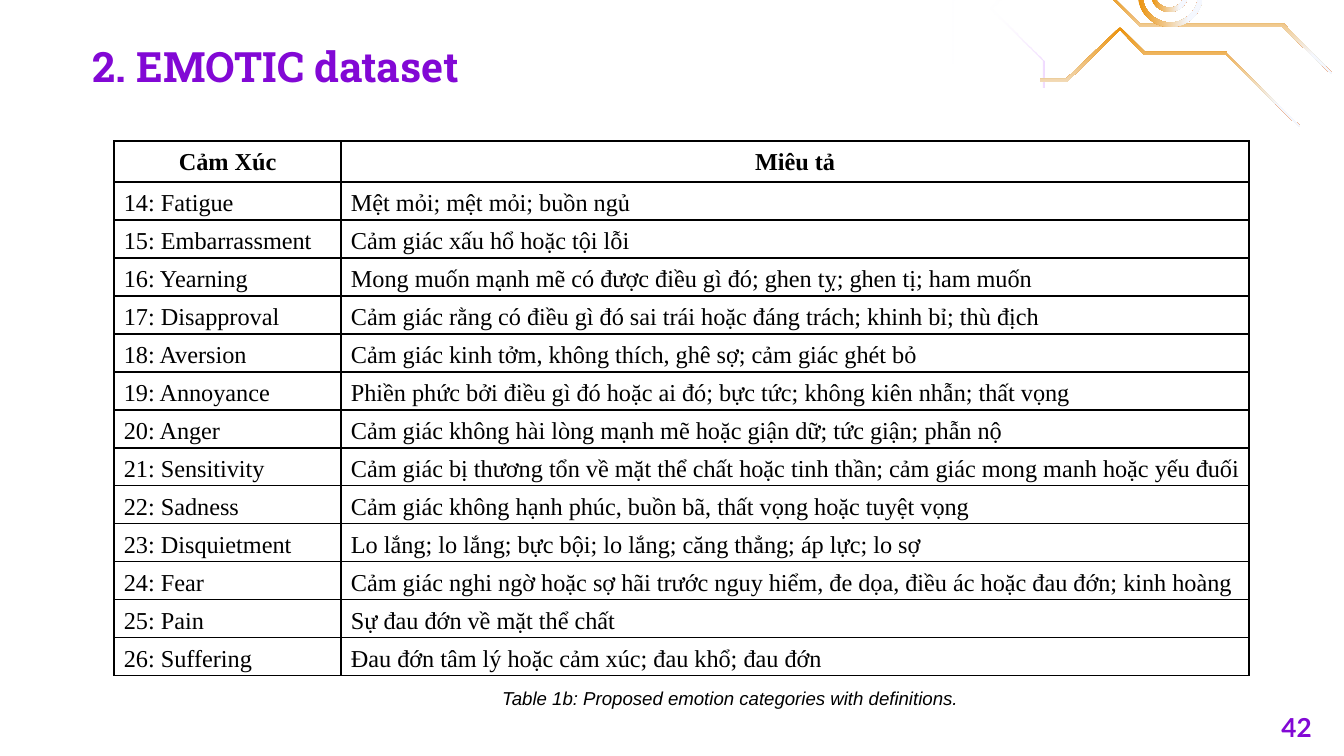
"""Build the EMOTIC dataset slide with its emotion definition table."""
from lxml import etree
from pptx import Presentation
from pptx import util as u
from pptx.dml.color import RGBColor
from pptx.enum import shapes, text
from pptx.oxml import parse_xml
from pptx.oxml.ns import nsdecls, qn

TITLE = "2. EMOTIC dataset"
CAPTION = "Table 1b: Proposed emotion categories with definitions."
SLIDE_NUMBER = "42"
HEADER = ("Cảm Xúc", "Miêu tả")
EMOTIONS = [
    ("14: Fatigue", "Mệt mỏi; mệt mỏi; buồn ngủ"),
    ("15: Embarrassment", "Cảm giác xấu hổ hoặc tội lỗi"),
    ("16: Yearning", "Mong muốn mạnh mẽ có được điều gì đó; ghen tỵ; ghen tị; ham muốn"),
    ("17: Disapproval", "Cảm giác rằng có điều gì đó sai trái hoặc đáng trách; khinh bỉ; thù địch"),
    ("18: Aversion", "Cảm giác kinh tởm, không thích, ghê sợ; cảm giác ghét bỏ"),
    ("19: Annoyance", "Phiền phức bởi điều gì đó hoặc ai đó; bực tức; không kiên nhẫn; thất vọng"),
    ("20: Anger", "Cảm giác không hài lòng mạnh mẽ hoặc giận dữ; tức giận; phẫn nộ"),
    ("21: Sensitivity", "Cảm giác bị thương tổn về mặt thể chất hoặc tinh thần; cảm giác mong manh hoặc yếu đuối"),
    ("22: Sadness", "Cảm giác không hạnh phúc, buồn bã, thất vọng hoặc tuyệt vọng"),
    ("23: Disquietment", "Lo lắng; lo lắng; bực bội; lo lắng; căng thẳng; áp lực; lo sợ"),
    ("24: Fear", "Cảm giác nghi ngờ hoặc sợ hãi trước nguy hiểm, đe dọa, điều ác hoặc đau đớn; kinh hoàng"),
    ("25: Pain", "Sự đau đớn về mặt thể chất"),
    ("26: Suffering", "Đau đớn tâm lý hoặc cảm xúc; đau khổ; đau đớn"),
]
COLORS = {"title": "8208D5", "ink": "000000", "violet": "9900FF",
          "white": "FFFFFF", "orange": "EB9109", "pale": "F5F8FF"}
GRADIENTS = {
    "violet": [(0, "violet", 47), (100, "white", 0)],
    "orange": [(0, "orange", 100), (78, "pale", 100), (100, "pale", 100)],
}
CIRCUITS = [
    ("violet", 180, [(1035, -227), (988, -179), (986, -179), (986, -35), (952, 0), (952, 63),
                     (954, 63), (954, 0), (989, -35), (989, -177), (1036, -226)]),
    ("violet", 180, [(1089, -173), (1016, -99), (1015, -99), (1015, -19), (989, 8), (1042, 60), (1042, 87),
                     (1044, 87), (1044, 60), (992, 8), (1017, -17), (1017, -99), (1090, -172)]),
    ("orange", 90, [(1332, 73), (1284, 24), (1140, 24), (1105, -11), (1042, -11),
                    (1042, -8), (1105, -8), (1140, 27), (1282, 27), (1331, 74)]),
    ("orange", 90, [(1300, 126), (1227, 54), (1227, 52), (1145, 52), (1120, 27), (1066, 79), (1040, 79),
                    (1040, 82), (1067, 82), (1120, 30), (1144, 55), (1226, 55), (1299, 127)]),
]
RINGS = [((1138, -38, 65, 65), 0.07), ((1151, -23, 37, 35), 0.12)]
COLUMN_WIDTHS = (227, 908)
HEADER_HEIGHT, ROW_HEIGHT = 41, 38
SCALE = 914400 / 134.4


def px(length):
    return u.Emu(round(length * SCALE))


def style(paragraph, font_name, size, color, bold=False, italic=False, align=text.PP_ALIGN.LEFT):
    paragraph.alignment = align
    font = paragraph.font
    font.name, font.size, font.bold, font.italic = font_name, u.Pt(size), bold, italic
    font.color.rgb = RGBColor.from_string(COLORS[color])


def fill_gradient(shape, name, angle):
    stops = "".join(
        f'<a:gs pos="{position * 1000}"><a:srgbClr val="{COLORS[color]}">'
        f'<a:alpha val="{opacity * 1000}"/></a:srgbClr></a:gs>'
        for position, color, opacity in GRADIENTS[name])
    gradient = parse_xml(f'<a:gradFill {nsdecls("a")} rotWithShape="1"><a:gsLst>{stops}</a:gsLst>'
                         f'<a:lin ang="{angle * 60000}" scaled="0"/></a:gradFill>')
    shape.shadow.inherit = False
    shape.line.fill.background()
    shape.fill.background()
    properties = shape.fill._xPr
    properties.replace(properties.find(qn("a:noFill")), gradient)


def add_decoration(slide):
    for gradient, angle, points in CIRCUITS:
        builder = slide.shapes.build_freeform(*points[0], scale=SCALE)
        builder.add_line_segments(points[1:], close=True)
        fill_gradient(builder.convert_to_shape(), gradient, angle)
    for box, thickness in RINGS:
        ring = slide.shapes.add_shape(shapes.MSO_SHAPE.DONUT, *map(px, box))
        ring.adjustments[0] = thickness
        fill_gradient(ring, "orange", 0)


def add_borders(cell):
    properties = cell._tc.get_or_add_tcPr()
    for index, side in enumerate(("lnL", "lnR", "lnT", "lnB")):
        border = etree.Element(qn(f"a:{side}"), w=str(u.Pt(0.75)))
        solid = etree.SubElement(border, qn("a:solidFill"))
        etree.SubElement(solid, qn("a:srgbClr"), val=COLORS["ink"])
        properties.insert(index, border)


def add_emotion_table(slide):
    rows = [HEADER] + EMOTIONS
    height = HEADER_HEIGHT + ROW_HEIGHT * len(EMOTIONS)
    table = slide.shapes.add_table(len(rows), len(HEADER), px(114), px(141),
                                   px(sum(COLUMN_WIDTHS)), px(height)).table
    table.first_row = table.horz_banding = False
    for column, width in zip(table.columns, COLUMN_WIDTHS):
        column.width = px(width)
    for row_index, values in enumerate(rows):
        is_header = row_index == 0
        table.rows[row_index].height = px(HEADER_HEIGHT if is_header else ROW_HEIGHT)
        for column_index, value in enumerate(values):
            cell = table.cell(row_index, column_index)
            cell.text = value
            cell.margin_left = cell.margin_right = px(10)
            cell.margin_top = cell.margin_bottom = 0
            cell.fill.background()
            add_borders(cell)
            paragraph = cell.text_frame.paragraphs[0]
            paragraph.line_spacing, paragraph.space_after = 1.3, u.Pt(3)
            style(paragraph, "Times New Roman", 13, "ink", bold=is_header,
                  align=text.PP_ALIGN.CENTER if is_header else text.PP_ALIGN.LEFT)


def add_label(slide, box, value, anchor, **font):
    frame = slide.shapes.add_textbox(*map(px, box)).text_frame
    frame.word_wrap, frame.vertical_anchor = True, anchor
    frame.text = value
    style(frame.paragraphs[0], **font)


def main():
    presentation = Presentation()
    presentation.slide_width, presentation.slide_height = px(1344), px(756)
    slide = presentation.slides.add_slide(presentation.slide_layouts[5])
    add_decoration(slide)
    add_label(slide, (489, 680, 672, 36), CAPTION, text.MSO_ANCHOR.TOP,
              font_name="Arial", size=10, color="ink", italic=True)
    add_emotion_table(slide)
    title = slide.shapes.title
    title.left, title.top, title.width, title.height = map(px, (79, 35, 527, 73))
    frame = title.text_frame
    frame.text = TITLE
    frame.auto_size, frame.vertical_anchor = text.MSO_AUTO_SIZE.NONE, text.MSO_ANCHOR.TOP
    frame.margin_top = px(6)
    style(frame.paragraphs[0], "Roboto Slab", 22.4, "title", bold=True)
    add_label(slide, (1244, 698, 81, 58), SLIDE_NUMBER, text.MSO_ANCHOR.MIDDLE,
              font_name="Lato", size=14, color="title", bold=True, align=text.PP_ALIGN.RIGHT)
    presentation.save("out.pptx")


if __name__ == "__main__":
    main()
